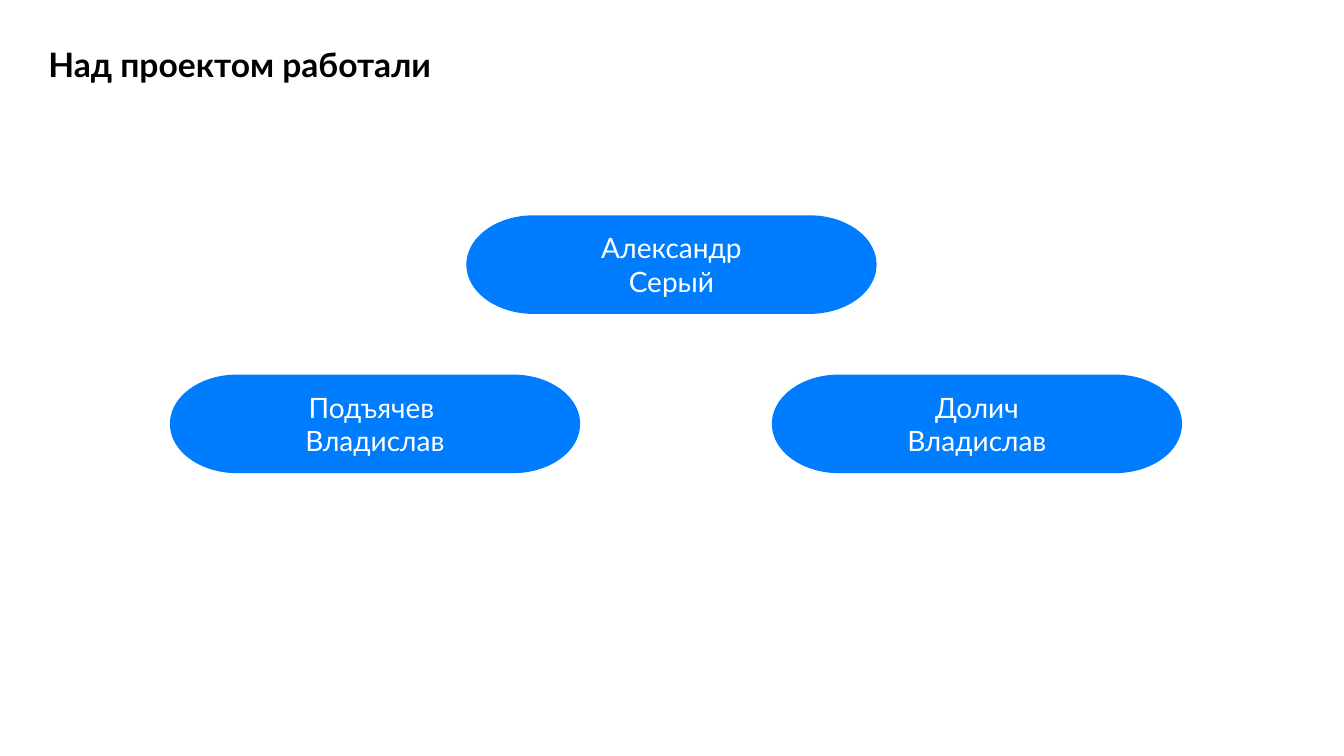
import pptx
import pptx.util
import pptx.dml.color
import pptx.enum.shapes
import pptx.enum.text

HEAD = "Над проектом работали"
# left, top, name
TEAM = [
    (1.7, 3.73, "Подъячев \nВладислав"),
    (4.64, 2.15, "Александр\nСерый"),
    (7.67, 3.73, "Долич\nВладислав"),
]
PILL = (4.04, 0.95)
HUES = {"blue": "007DFF", "white": "FEFFFE", "black": "000000", "page": "FFFFFF"}

Inches, Pt = pptx.util.Inches, pptx.util.Pt
ALIGN = pptx.enum.text.PP_ALIGN
ANCHOR = pptx.enum.text.MSO_ANCHOR


def hue(name):
    return pptx.dml.color.RGBColor.from_string(HUES[name])


def write(shape, text, size, color, align, anchor, bold=False):
    frame = shape.text_frame
    frame.text = text
    frame.word_wrap = True
    frame.auto_size = pptx.enum.text.MSO_AUTO_SIZE.NONE
    frame.vertical_anchor = anchor
    frame.margin_left = frame.margin_right = 0
    frame.margin_top = frame.margin_bottom = 0
    for para in frame.paragraphs:
        para.alignment = align
        for run in para.runs:
            font = run.font
            font.name, font.size, font.bold = "Lato", Pt(size), bold
            font.color.rgb = hue(color)


def add_pill(slide, left, top, name):
    kind = pptx.enum.shapes.MSO_SHAPE.FLOWCHART_TERMINATOR
    pill = slide.shapes.add_shape(kind, *map(Inches, (left, top, *PILL)))
    pill.shadow.inherit = False
    pill.fill.solid()
    pill.fill.fore_color.rgb = hue("blue")
    pill.line.color.rgb = hue("blue")
    pill.line.width = Pt(2)
    write(pill, name, 20, "white", ALIGN.CENTER, ANCHOR.MIDDLE)


def main():
    deck = pptx.Presentation()
    deck.slide_width, deck.slide_height = Inches(13.33), Inches(7.5)
    slide = deck.slides.add_slide(deck.slide_layouts[5])
    slide.background.fill.solid()
    slide.background.fill.fore_color.rgb = hue("page")

    title = slide.shapes.title
    title.left, title.top = Inches(0.48), Inches(0.48)
    title.width, title.height = Inches(12.36), Inches(0.71)
    write(title, HEAD, 24, "black", ALIGN.LEFT, ANCHOR.TOP, bold=True)
    title.text_frame.paragraphs[0].line_spacing = 0.9

    for left, top, name in TEAM:
        add_pill(slide, left, top, name)
    deck.save("out.pptx")


if __name__ == "__main__":
    main()
